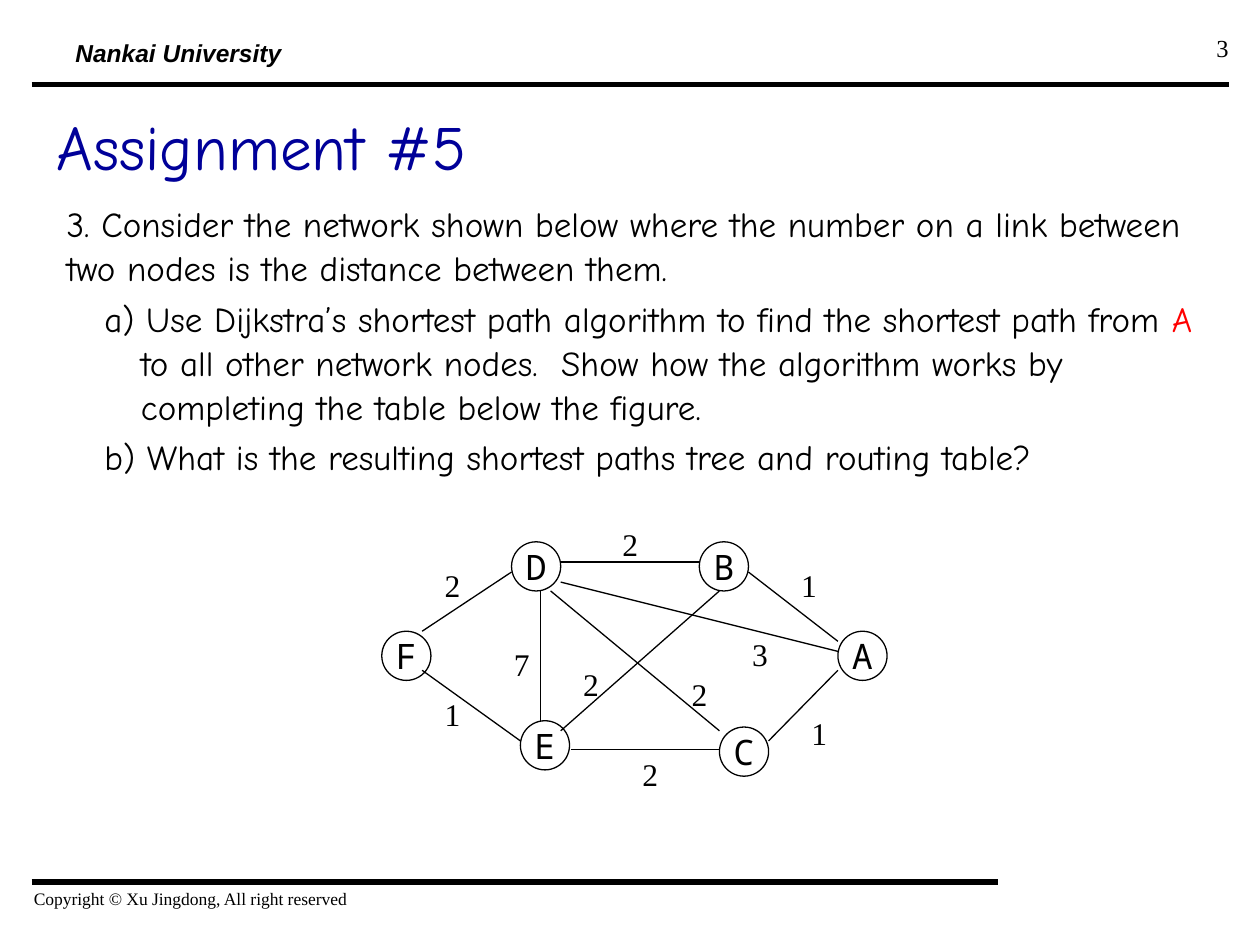
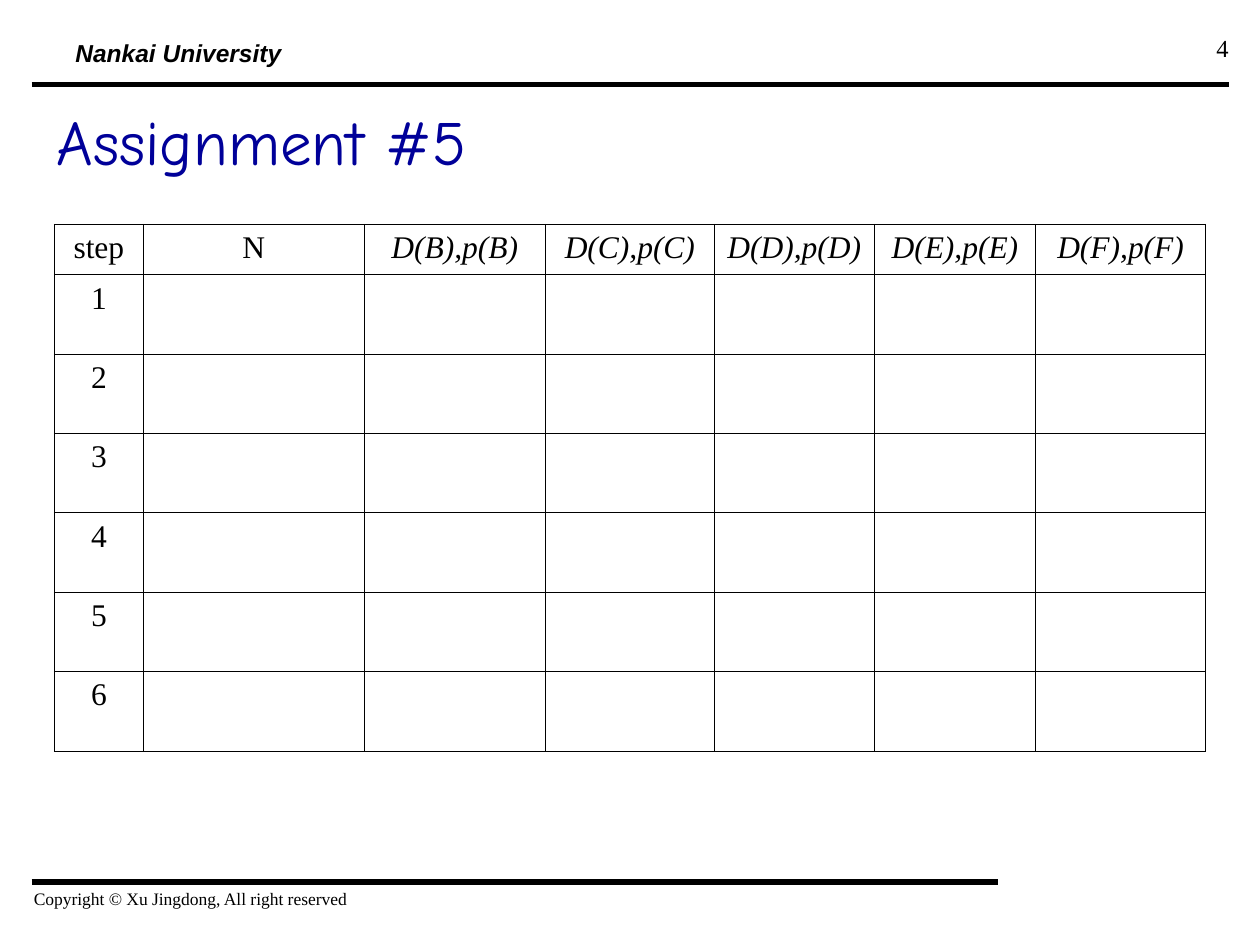
from lxml import etree
from pptx import Presentation
from pptx import util as u
from pptx.dml.color import RGBColor
from pptx.enum import shapes, text
from pptx.oxml.ns import qn

COLOURS = {"ink": "000000", "title": "000099", "accent": "FF0000", "paper": "FFFFFF"}
SERIF, HAND, MONO = "Times New Roman", "Comic Neue", "Noto Sans Mono"
LEFT, CENTER, RIGHT = text.PP_ALIGN.LEFT, text.PP_ALIGN.CENTER, text.PP_ALIGN.RIGHT

SUB_ITEM = {"level": 1, "margin": 0.59, "indent": -0.29}
QUESTION = [
    ([("3. Consider the network shown below where the number on a link between "
       "two nodes is the distance between them.", "ink")], {}),
    ([("a) Use Dijkstra’s shortest path algorithm to find the shortest path from ", "ink"),
      ("A", "accent"),
      (" to all other network nodes.  Show how the algorithm works by completing "
       "the table below the figure.", "ink")], SUB_ITEM),
    ([("b) What is the resulting shortest paths tree and routing table?", "ink")], SUB_ITEM),
]

NODE_SIZE = 0.39
NODES = {"A": (6.65, 5.01), "B": (5.55, 4.3), "C": (5.71, 5.77),
         "D": (4.06, 4.3), "E": (4.13, 5.72), "F": (3.03, 5.01)}
LINKS = [
    ("2", (3.43, 4.38), (3.35, 5.01), (4.06, 4.54)),
    ("2", (4.84, 4.06), (4.45, 4.46), (5.55, 4.46)),
    ("1", (6.26, 4.38), (5.94, 4.54), (6.65, 5.09)),
    ("1", (3.43, 5.41), (3.35, 5.32), (4.13, 5.88)),
    ("2", (5, 5.88), (4.53, 5.95), (5.71, 5.95)),
    ("1", (6.34, 5.56), (6.1, 5.88), (6.65, 5.32)),
    ("7", (3.98, 5.01), (4.29, 4.69), (4.29, 5.72)),
    ("3", (5.87, 4.93), (4.45, 4.62), (6.65, 5.17)),
    ("2", (5.39, 5.25), (4.37, 4.69), (5.71, 5.8)),
    ("2", (4.53, 5.17), (5.71, 4.69), (4.45, 5.8)),
]

COLUMN_WIDTHS = [0.71, 1.75, 1.44, 1.34, 1.27, 1.28, 1.35]
HEADINGS = ["step", "N"] + [f"D({node}),p({node})" for node in "BCDEF"]
STEPS = 6


def inches(*lengths):
    return [u.Inches(length) for length in lengths]


def apply(target, **values):
    for name, value in values.items():
        setattr(target, name, value)


class SlideWriter:
    def __init__(self):
        self.deck = Presentation()
        apply(self.deck, slide_width=u.Inches(10), slide_height=u.Inches(7.5))
        self.page = None

    def colour(self, name):
        return RGBColor.from_string(COLOURS[name])

    def span(self, para, words, size, font, colour="ink", **style):
        span = para.add_run()
        span.text = words
        apply(span.font, size=u.Pt(size), name=font, **style)
        span.font.color.rgb = self.colour(colour)

    def start(self, number, title, title_height):
        self.page = self.deck.slides.add_slide(self.deck.slide_layouts[5])
        self.page.background.fill.solid()
        self.page.background.fill.fore_color.rgb = self.colour("paper")
        self.line((0.25, 7), (7.92, 7), 3)
        self.line((0.25, 0.67), (9.75, 0.67), 3)
        self.label((0.5, 0.32, 2.5, 0.27), "Nankai University", 14, "Arial",
                   spacing=0.7, bold=True, italic=True)
        self.label((0.17, 7, 3.83, 0.33), "Copyright © Xu Jingdong, All right reserved", 10, SERIF)
        self.label((7.52, 0.21, 2.33, 0.52), str(number), 14, SERIF, align=RIGHT)
        self.title(title, title_height)

    def title(self, words, height):
        box = self.page.shapes.title
        box.left, box.top, box.width, box.height = inches(0.35, 0.67, 9.29, height)
        apply(box.text_frame, vertical_anchor=text.MSO_ANCHOR.MIDDLE,
              auto_size=text.MSO_AUTO_SIZE.NONE, word_wrap=True)
        para = box.text_frame.paragraphs[0]
        para.alignment = LEFT
        self.span(para, words, 36, HAND, "title")

    def label(self, area, words, size, font, align=LEFT, spacing=1.0, **style):
        frame = self.page.shapes.add_textbox(*inches(*area)).text_frame
        frame.word_wrap = True
        para = frame.paragraphs[0]
        apply(para, alignment=align, line_spacing=spacing)
        self.span(para, words, size, font, **style)

    def body(self, area, items):
        frame = self.page.shapes.add_textbox(*inches(*area)).text_frame
        frame.word_wrap = True
        for index, (spans, layout) in enumerate(items):
            para = frame.add_paragraph() if index else frame.paragraphs[0]
            apply(para, level=layout.get("level", 0), line_spacing=1.05, space_before=u.Pt(3.7))
            properties = para._p.get_or_add_pPr()
            properties.set("marL", str(u.Inches(layout.get("margin", 0))))
            properties.set("indent", str(u.Inches(layout.get("indent", 0))))
            for words, colour in spans:
                self.span(para, words, 20, HAND, colour)

    def line(self, start, end, width=0.75):
        line = self.page.shapes.add_connector(
            shapes.MSO_CONNECTOR.STRAIGHT, *inches(*start, *end))
        line.line.width = u.Pt(width)
        line.line.color.rgb = self.colour("ink")
        etree.SubElement(line._element.spPr, qn("a:effectLst"))

    def node(self, name, left, top):
        circle = self.page.shapes.add_shape(
            shapes.MSO_SHAPE.OVAL, *inches(left, top, NODE_SIZE, NODE_SIZE))
        circle.shadow.inherit = False
        circle.fill.background()
        circle.line.width = u.Pt(0.75)
        circle.line.color.rgb = self.colour("ink")
        frame = circle.text_frame
        apply(frame, word_wrap=False, vertical_anchor=text.MSO_ANCHOR.MIDDLE,
              margin_left=0, margin_right=0, margin_top=0, margin_bottom=0)
        frame.paragraphs[0].alignment = CENTER
        self.span(frame.paragraphs[0], name, 20, MONO)

    def table(self, left, top, widths, heights, rows):
        table = self.page.shapes.add_table(
            len(heights), len(widths),
            *inches(left, top, sum(widths), sum(heights))).table
        apply(table, first_row=False, horz_banding=False)
        for column, width in zip(table.columns, widths):
            column.width = u.Inches(width)
        for row, height, words in zip(table.rows, heights, rows):
            row.height = u.Inches(height)
            for cell, content in zip(row.cells, words):
                self.cell(cell, content)

    def cell(self, cell, words):
        apply(cell, margin_left=u.Inches(0.05), margin_right=u.Inches(0.05))
        properties = cell._tc.get_or_add_tcPr()
        for side in ("lnL", "lnR", "lnT", "lnB"):
            border = etree.SubElement(properties, qn(f"a:{side}"), w=str(u.Pt(0.45)))
            fill = etree.SubElement(border, qn("a:solidFill"))
            etree.SubElement(fill, qn("a:srgbClr"), val=COLOURS["ink"])
        cell.fill.background()
        para = cell.text_frame.paragraphs[0]
        para.alignment = CENTER
        if words:
            self.span(para, words, 18, SERIF, italic=words.startswith("D("))


def main():
    writer = SlideWriter()

    writer.start(3, "Assignment #5", 0.96)
    writer.body((0.43, 1.54, 9.14, 2.36), QUESTION)
    for name, corner in NODES.items():
        writer.node(name, *corner)
    for distance, corner, start, end in LINKS:
        writer.line(start, end)
        writer.label((*corner, 0.31, 0.46), distance, 18, SERIF, spacing=1.2)

    writer.start(4, "Assignment #5", 0.88)
    blanks = [""] * (len(HEADINGS) - 1)
    step_rows = [[str(step), *blanks] for step in range(1, STEPS + 1)]
    writer.table(0.43, 1.78, COLUMN_WIDTHS, [0.4] + [0.63] * STEPS, [HEADINGS, *step_rows])

    writer.deck.save("out.pptx")


if __name__ == "__main__":
    main()
